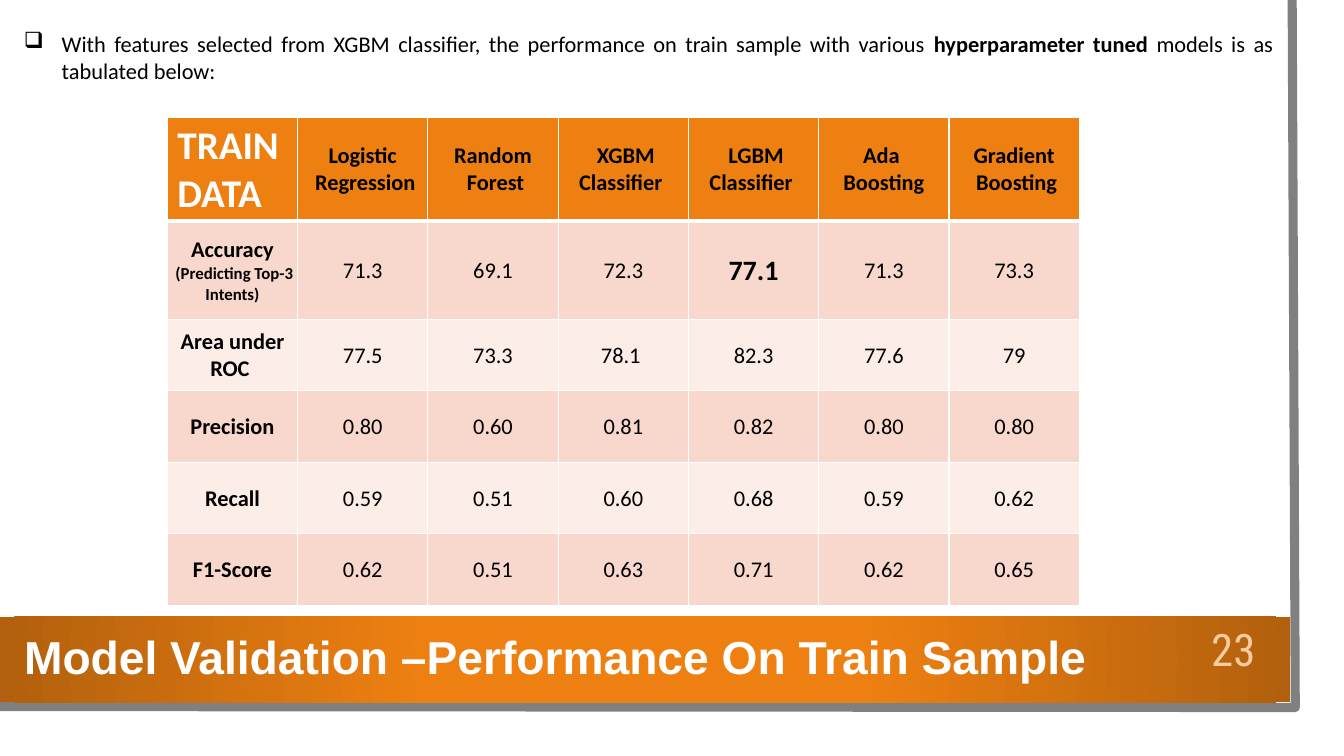
from pptx import Presentation
from pptx.dml.color import RGBColor
from pptx.enum.shapes import MSO_SHAPE
from pptx.enum.text import MSO_ANCHOR, MSO_AUTO_SIZE, PP_ALIGN
from pptx.oxml import parse_xml
from pptx.oxml.ns import nsdecls
from pptx.util import Pt

WHITE = RGBColor(0xFF, 0xFF, 0xFF)
BLACK = RGBColor(0x00, 0x00, 0x00)
GREY = RGBColor(0x80, 0x80, 0x80)
ORANGE = RGBColor(0xEE, 0x80, 0x11)
BROWN = RGBColor(0xB2, 0x60, 0x0D)
PEACH = RGBColor(0xF8, 0xCC, 0xA0)
ROW_DARK = RGBColor(0xF8, 0xD8, 0xCC)
ROW_LIGHT = RGBColor(0xFC, 0xED, 0xE7)

HEADINGS = ["TRAIN DATA", "Logistic\n Regression", "Random\n Forest", " XGBM\nClassifier ",
            " LGBM\nClassifier ", "Ada \nBoosting", "Gradient\n Boosting"]
SCORES = [
    ["Accuracy\n (Predicting Top-3 Intents)", "71.3", "69.1", "72.3", "77.1", "71.3", "73.3"],
    ["Area under ROC ", "77.5", "73.3", "78.1 ", "82.3", "77.6", "79"],
    ["Precision", "0.80", "0.60", "0.81", "0.82", "0.80", "0.80"],
    ["Recall", "0.59", "0.51", "0.60", "0.68", "0.59", "0.62"],
    ["F1-Score", "0.62", "0.51", "0.63", "0.71", "0.62", "0.65"],
]
ROW_HEIGHTS = [74.2, 70, 51.1, 51.1, 51.1, 51.1]
BEST_SCORE = (1, 4)


class SlideBuilder:
    """Holds the current slide and its text style."""

    font = "Calibri"
    size = 16

    def __init__(self, slide):
        self.slide = slide

    def style(self, run, size=None, color=BLACK, bold=False, font=None):
        run.font.name = font or self.font
        run.font.size = Pt(size or self.size)
        run.font.color.rgb = color
        run.font.bold = bold

    def rectangle(self, left, top, width, height, fill):
        panel = self.slide.shapes.add_shape(
            MSO_SHAPE.RECTANGLE, Pt(left), Pt(top), Pt(width), Pt(height))
        panel.shadow.inherit = False
        panel.line.fill.background()
        panel.fill.solid()
        panel.fill.fore_color.rgb = fill
        return panel

    def glowing_band(self, left, top, width, height, inner, outer):
        band = self.rectangle(left, top, width, height, inner)
        solid = band.element.spPr.find("{*}solidFill")
        solid.getparent().replace(solid, parse_xml(
            f'<a:gradFill {nsdecls("a")} rotWithShape="1"><a:gsLst>'
            f'<a:gs pos="34000"><a:srgbClr val="{inner}"/></a:gs>'
            f'<a:gs pos="100000"><a:srgbClr val="{outer}"/></a:gs></a:gsLst>'
            '<a:path path="circle"><a:fillToRect l="50000" t="50000" r="50000" b="50000"/>'
            '</a:path></a:gradFill>'))

    def outline(self, points, color, width):
        corners = [(Pt(x), Pt(y)) for x, y in points]
        builder = self.slide.shapes.build_freeform(*corners[0])
        builder.add_line_segments(corners[1:], close=False)
        edge = builder.convert_to_shape()
        edge.shadow.inherit = False
        edge.fill.background()
        edge.line.color.rgb = color
        edge.line.width = Pt(width)

    def title(self, left, top, width, height, text, **look):
        heading = self.slide.shapes.title
        heading.left, heading.top = Pt(left), Pt(top)
        heading.width, heading.height = Pt(width), Pt(height)
        frame = heading.text_frame
        frame.text = text
        frame.auto_size = MSO_AUTO_SIZE.NONE
        frame.vertical_anchor = MSO_ANCHOR.MIDDLE
        frame.paragraphs[0].alignment = PP_ALIGN.LEFT
        self.style(frame.paragraphs[0].runs[0], **look)
        # Bring the title in front of the band
        heading.element.getparent().append(heading.element)

    def text(self, left, top, width, height, parts, align, anchor=MSO_ANCHOR.TOP, **look):
        box = self.slide.shapes.add_textbox(Pt(left), Pt(top), Pt(width), Pt(height))
        frame = box.text_frame
        frame.word_wrap = True
        frame.vertical_anchor = anchor
        paragraph = frame.paragraphs[0]
        paragraph.alignment = align
        for words, bold in parts:
            run = paragraph.add_run()
            run.text = words
            self.style(run, bold=bold, **look)
        return paragraph

    def bullet(self, paragraph, symbol, indent):
        props = paragraph._p.get_or_add_pPr()
        props.set("marL", str(Pt(indent)))
        props.set("indent", str(-Pt(indent)))
        props.append(parse_xml(f'<a:buChar {nsdecls("a")} char="{symbol}"/>'))

    def borders(self, cell, color, **widths):
        props = cell._tc.get_or_add_tcPr()
        for side in "LRTB":
            props.append(parse_xml(
                f'<a:ln{side} {nsdecls("a")} w="{Pt(widths.get(side, 1))}">'
                f'<a:solidFill><a:srgbClr val="{color}"/></a:solidFill></a:ln{side}>'))

    def cell(self, cell, text, fill, bottom, corner=False, **look):
        self.borders(cell, WHITE, B=bottom)
        cell.fill.solid()
        cell.fill.fore_color.rgb = fill
        paragraph = cell.text_frame.paragraphs[0]
        paragraph.text = text
        for run in paragraph.runs:
            self.style(run, **look)
        if not corner:
            cell.vertical_anchor = MSO_ANCHOR.MIDDLE
            cell.margin_left = cell.margin_right = cell.margin_top = Pt(0.7)
            cell.margin_bottom = 0
            paragraph.alignment = PP_ALIGN.CENTER

    def table(self, left, top, width, rows, heights, best):
        grid = self.slide.shapes.add_table(
            len(rows), len(rows[0]), Pt(left), Pt(top), Pt(width), Pt(sum(heights))).table
        for row, height in zip(grid.rows, heights):
            row.height = Pt(height)
        for column in grid.columns:
            column.width = Pt(width / len(rows[0]))
        for r, row in enumerate(rows):
            fill = ORANGE if r == 0 else ROW_DARK if r % 2 else ROW_LIGHT
            for c, value in enumerate(row):
                corner = r == c == 0
                self.cell(grid.cell(r, c), value, fill, 3 if r == 0 else 1, corner,
                          size=28 if corner else 20 if (r, c) == best else 16,
                          color=WHITE if corner else BLACK,
                          bold=r == 0 or c == 0 or (r, c) == best)
        return grid


def main():
    deck = Presentation()
    deck.slide_width, deck.slide_height = Pt(960), Pt(540)
    page = SlideBuilder(deck.slides.add_slide(deck.slide_layouts[5]))

    # Sheet, edge and title band
    page.rectangle(0, 0, 943.2, 523.4, WHITE)
    page.outline([(923, 0), (925.2, 505.4), (-2.2, 504.7)], GREY, 6.5)
    page.glowing_band(0, 440.6, 921.6, 61.2, ORANGE, BROWN)

    # Title and page number
    page.title(10, 447, 870.5, 43.2, "Model Validation –Performance On Train Sample",
               size=33, color=WHITE, bold=True, font="Arial")
    page.text(845.3, 443.5, 71.3, 39.6, [("23", False)], PP_ALIGN.CENTER, MSO_ANCHOR.MIDDLE,
              size=32, color=PEACH, font="Roboto Condensed")

    # Scores by model
    scores = page.table(119.5, 83.5, 651.6, [HEADINGS, *SCORES], ROW_HEIGHTS, BEST_SCORE)
    accuracy_note = scores.cell(1, 0).text_frame.paragraphs[0].runs[1]
    accuracy_note.font.size = Pt(12)

    # Introduction
    intro = page.text(10, 18, 906.5, 46, [
        ("With features selected from XGBM classifier, the performance on train sample "
         "with various ", False),
        ("hyperparameter tuned", True),
        (" models is as tabulated below:", False)], PP_ALIGN.JUSTIFY)
    page.bullet(intro, "❑", 27)

    deck.save("out.pptx")


if __name__ == "__main__":
    main()
